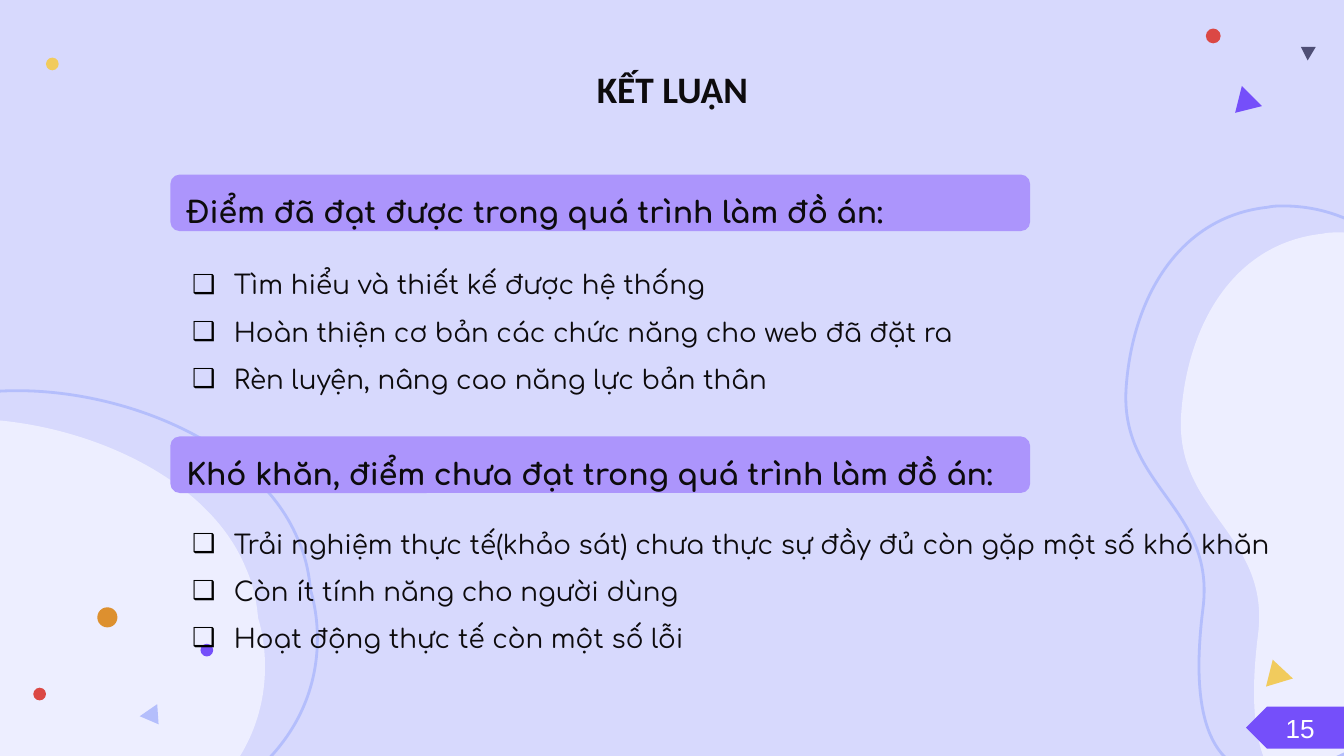
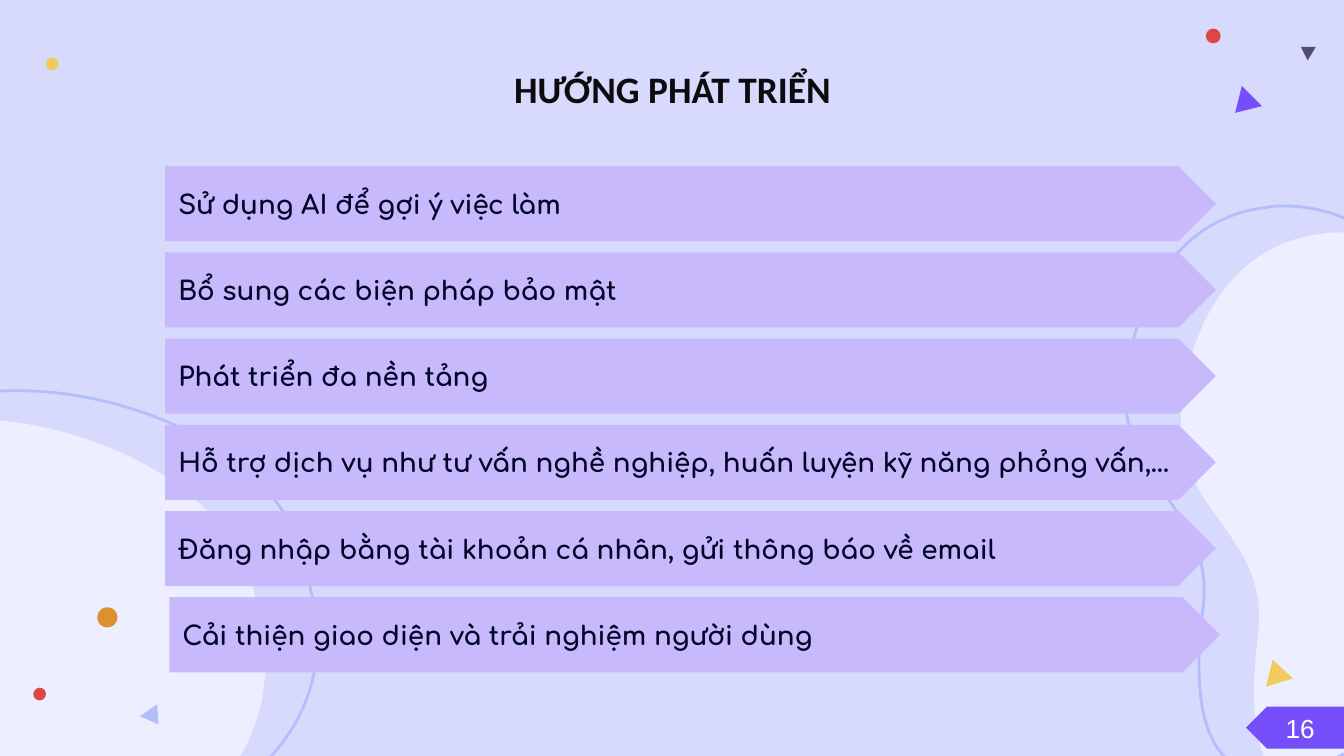
"""Build the two closing slides of a project presentation: conclusions and future work."""
import itertools

import lxml.etree
import pptx
import pptx.dml.color
import pptx.enum.shapes
import pptx.enum.text
import pptx.oxml.ns
import pptx.util

Cm = pptx.util.Cm
Pt = pptx.util.Pt
SHAPES = pptx.enum.shapes.MSO_SHAPE
ALIGN = pptx.enum.text.PP_ALIGN
qn = pptx.oxml.ns.qn

COLORS = {
    "background": "D7D9FD", "blob": "EDEEFF", "outline": "B4BEFC", "ink": "0D0B0D",
    "navy": "02072A", "white": "FFFFFF", "black": "000000", "heading": "AC95FC",
    "row": "C8B9FD", "purple": "754FFA", "yellow": "F1CB5D", "orange": "DD902F",
    "red": "DB4844", "slate": "4E4E75",
}
TITLE_FONT, BODY_FONT, NUMBER_FONT = "Calibri", "Comfortaa", "Arial"

CONCLUSION = {
    "title": "KẾT LUẬN",
    "number": "15",
    "sections": [
        {"heading": "Điểm đã đạt được trong quá trình làm đồ án:",
         "heading_top": 3.3, "list_top": 4.85, "list_height": 2.54,
         "points": ["Tìm hiểu và thiết kế được hệ thống",
                    "Hoàn thiện cơ bản các chức năng cho web đã đặt ra",
                    "Rèn luyện, nâng cao năng lực bản thân"]},
        {"heading": "Khó khăn, điểm chưa đạt trong quá trình làm đồ án:",
         "heading_top": 8.25, "list_top": 9.65, "list_height": 2.74,
         "points": ["Trải nghiệm thực tế(khảo sát) chưa thực sự đầy đủ còn gặp một số khó khăn",
                    "Còn ít tính năng cho người dùng",
                    "Hoạt động thực tế còn một số lỗi"]},
    ],
}
FUTURE_WORK = {
    "title": "HƯỚNG PHÁT TRIỂN",
    "number": "16",
    "rows": [
        ("Sử dụng AI để gợi ý việc làm", 3.12),
        ("Bổ sung các biện pháp bảo mật", 3.12),
        ("Phát triển đa nền tảng", 3.12),
        ("Hỗ trợ dịch vụ như tư vấn nghề nghiệp, huấn luyện kỹ năng phỏng vấn,…", 3.12),
        ("Đăng nhập bằng tài khoản cá nhân, gửi thông báo về email", 3.12),
        ("Cải thiện giao diện và trải nghiệm người dùng", 3.2),
    ],
}
ROW_TOP, ROW_PITCH = 3.14, 1.63

OUTLINE_UNIT = Cm(0.0254)
LEFT_BLOB = [
    (183, 423), (132, 297), (-143, 264), (-155, 397), (-167, 542), (-404, 462), (-416, 569),
    (-418, 592), (-415, 614), (-407, 633), (-379, 702), (-289, 741), (-174, 731),
    (-28, 718), (-27, 914), (39, 869), (105, 824), (3, 682), (115, 620),
    (227, 559), (192, 460), (192, 460), (191, 447), (188, 434), (183, 423),
]
RIGHT_BLOB = [
    (996, 173), (992, 173), (988, 173), (984, 174), (919, 181), (884, 240), (879, 307),
    (873, 382), (946, 397), (936, 473), (924, 569), (951, 596), (986, 596),
    (1012, 596), (1041, 582), (1063, 569), (1073, 564), (1124, 549), (1153, 549),
    (1159, 549), (1164, 550), (1167, 551), (1175, 554), (1183, 555), (1191, 555),
    (1193, 555), (1196, 555), (1199, 555), (1240, 550), (1270, 512), (1265, 469),
    (1264, 459), (1261, 448), (1256, 439), (1244, 417), (1242, 391), (1251, 368),
    (1258, 352), (1260, 335), (1258, 318), (1252, 265), (1209, 226), (1158, 226),
    (1155, 226), (1151, 226), (1148, 227), (1147, 227), (1146, 227), (1145, 227),
    (1141, 228), (1137, 228), (1133, 228), (1112, 228), (1092, 220), (1077, 206),
    (1056, 185), (1027, 173), (996, 173),
]
BLOBS = [(LEFT_BLOB, 0.99, -0.53), (RIGHT_BLOB, -1.04, -0.5)]
DOTS = [
    ("yellow", 0.87, 1.09, 0.24), ("orange", 1.84, 11.48, 0.38), ("red", 0.63, 13, 0.24),
    ("purple", 3.79, 12.17, 0.24), ("red", 22.79, 0.54, 0.28),
]
TRIANGLES = [
    ("outline", [(117, 524), (104, 533), (118, 539)]),
    ("purple", [(924, 64), (919, 84), (939, 79)]),
    ("slate", [(979, 35), (968, 35), (973, 45)]),
    ("yellow", [(947, 491), (942, 511), (962, 505)]),
]


def rgb(name):
    return pptx.dml.color.RGBColor.from_string(COLORS[name])


def paint(shape, fill=None, line=None):
    shape.shadow.inherit = False
    if fill:
        shape.fill.solid()
        shape.fill.fore_color.rgb = rgb(fill)
    else:
        shape.fill.background()
    if line:
        shape.line.color.rgb = rgb(line)
        shape.line.width = Pt(1.5)
    else:
        shape.line.fill.background()
    return shape


def add_shape(slide, kind, left, top, width, height, fill):
    shape = slide.shapes.add_shape(kind, Cm(left), Cm(top), Cm(width), Cm(height))
    return paint(shape, fill)


def add_textbox(slide, left, top, width, height):
    return slide.shapes.add_textbox(Cm(left), Cm(top), Cm(width), Cm(height))


def add_bullet(paragraph):
    properties = paragraph._p.get_or_add_pPr()
    properties.set("marL", str(Cm(0.79)))
    properties.set("indent", str(-Cm(0.79)))
    color = lxml.etree.SubElement(properties, qn("a:buClr"))
    lxml.etree.SubElement(color, qn("a:srgbClr"), val=COLORS["black"])
    lxml.etree.SubElement(properties, qn("a:buFont"), typeface=NUMBER_FONT)
    lxml.etree.SubElement(properties, qn("a:buChar"), char="❑")


def write_text(shape, *lines, size=14, font=BODY_FONT, color="ink", bold=False,
               align=ALIGN.LEFT, line_spacing=None, space=None, bullet=False):
    frame = shape.text_frame
    frame.word_wrap = True
    frame.vertical_anchor = pptx.enum.text.MSO_ANCHOR.MIDDLE
    for index, line in enumerate(lines):
        paragraph = frame.add_paragraph() if index else frame.paragraphs[0]
        paragraph.alignment = align
        if line_spacing:
            paragraph.line_spacing = line_spacing
        if space is not None:
            paragraph.space_before = paragraph.space_after = Pt(space)
        if bullet:
            add_bullet(paragraph)
        run = paragraph.add_run()
        run.text = line
        run.font.size = Pt(size)
        run.font.name = font
        run.font.bold = bold
        run.font.color.rgb = rgb(color)


def add_outline(slide, points, curved=False):
    builder = slide.shapes.build_freeform(*points[0], scale=OUTLINE_UNIT)
    builder.add_line_segments(points[1:], close=True)
    shape = builder.convert_to_shape()
    if curved:
        segments = list(shape._element.iter(qn("a:lnTo")))[:len(points) - 1]
        for first, second, third in itertools.zip_longest(*[iter(segments)] * 3):
            first.tag = qn("a:cubicBezTo")
            for segment in (second, third):
                first.append(segment[0])
                segment.getparent().remove(segment)
    return shape


def add_decorations(slide):
    for points, shift_x, shift_y in BLOBS:
        paint(add_outline(slide, points, curved=True), fill="blob")
        ring = paint(add_outline(slide, points, curved=True), line="outline")
        ring.left += Cm(shift_x)
        ring.top += Cm(shift_y)
    for color, left, top, diameter in DOTS:
        add_shape(slide, SHAPES.OVAL, left, top, diameter, diameter, color)
    for color, points in TRIANGLES:
        paint(add_outline(slide, points), fill=color)


def prepare_layout(layout, slide):
    layout.background.fill.solid()
    layout.background.fill.fore_color.rgb = rgb("background")
    for placeholder in list(layout.placeholders):
        layout.shapes.element.remove(placeholder.element)
    add_decorations(slide)
    for shape in list(slide.shapes):
        layout.shapes.element.append(shape.element)


def add_title_and_number(slide, content):
    write_text(add_textbox(slide, 1.57, 1.07, 22.28, 1.22), content["title"],
               size=20, font=TITLE_FONT, bold=True, align=ALIGN.CENTER)
    badge = add_shape(slide, SHAPES.PENTAGON, 23.55, 13.36, 1.85, 0.79, "purple")
    badge.element.spPr.find(qn("a:xfrm")).set("flipH", "1")
    write_text(badge, content["number"], font=NUMBER_FONT, color="white", align=ALIGN.CENTER)


def fill_conclusion(slide):
    for section in CONCLUSION["sections"]:
        heading = add_shape(slide, SHAPES.ROUNDED_RECTANGLE, 3.22, section["heading_top"],
                            16.25, 1.07, "heading")
        write_text(heading, section["heading"], size=16, bold=True, line_spacing=1.5, space=6)
        points = add_textbox(slide, 3.38, section["list_top"], 21.26, section["list_height"])
        write_text(points, *section["points"], line_spacing=1.5, bullet=True)


def fill_future_work(slide):
    for index, (text, left) in enumerate(FUTURE_WORK["rows"]):
        row = add_shape(slide, SHAPES.PENTAGON, left, ROW_TOP + index * ROW_PITCH,
                        19.86, 1.42, "row")
        write_text(row, text, color="navy", bold=True)


def main():
    presentation = pptx.Presentation()
    presentation.slide_width, presentation.slide_height = Cm(25.4), Cm(14.29)
    layout = presentation.slide_layouts[6]
    conclusion = presentation.slides.add_slide(layout)
    future_work = presentation.slides.add_slide(layout)
    prepare_layout(layout, conclusion)
    add_title_and_number(conclusion, CONCLUSION)
    fill_conclusion(conclusion)
    add_title_and_number(future_work, FUTURE_WORK)
    fill_future_work(future_work)
    presentation.save("out.pptx")


if __name__ == "__main__":
    main()
